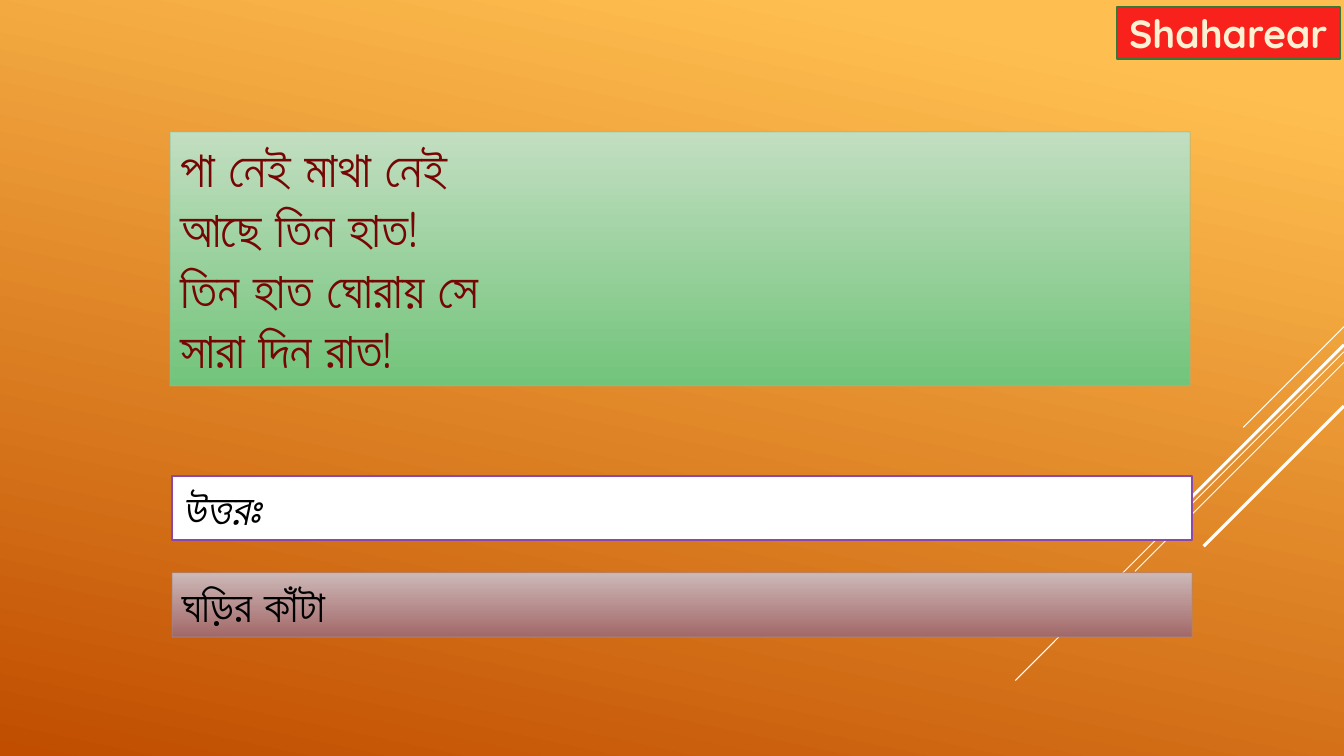
"""Build a riddle slide with its answer on an orange background."""
import pptx
import pptx.util
import pptx.dml.color
import pptx.enum.shapes
import pptx.enum.text
import pptx.oxml

Pt = pptx.util.Pt
FONT = "Quicksand"
HUES = {
    "sun": "FFBF50", "rust": "C04D00", "white": "FFFFFF", "black": "000000",
    "red": "F9211B", "pine": "377738", "cream": "FCF2D3", "plum": "8B48A8",
    "rose": "CDB8B8", "wine": "A36868", "mauve": "A58989",
    "mint": "C2DEC1", "leaf": "72C47B", "sage": "94BD94", "blood": "760603",
}
RIDDLE = ["পা নেই মাথা নেই", "আছে তিন হাত!", "তিন হাত ঘোরায় সে", "সারা দিন রাত!"]
EDGE = 960
RAYS = [(233.3, 72, 0.75), (251.3, 234.7, 0.75), (258.8, 149.3, 0.75),
        (246.3, 137.5, 2.25), (290, 100.2, 2.25)]
BOXES = [
    dict(text="Shaharear", at=(797.8, 5, 159.1, 37.4), fill=["red"],
         line="pine", width=1.25, size=28, ink="cream", bold=True, mid=True),
    dict(text="উত্তরঃ", at=(122.9, 340, 728.6, 46), fill=["white"],
         line="plum", width=1.25, size=32, ink="black", italic=True),
    dict(text="ঘড়ির কাঁটা", at=(122.9, 409, 728.6, 46), fill=["rose", "wine"],
         line="mauve", width=0.75, size=32, ink="black", fade=True),
    dict(text="\v".join(RIDDLE), at=(121.5, 94.2, 728.6, 181.4),
         fill=["mint", "leaf"], line="sage", width=0.75, size=36,
         ink="blood", fade=True),
]


def hue(name):
    return pptx.dml.color.RGBColor.from_string(HUES[name])


def blend(fill, names, angle, start=0):
    fill.gradient()
    fill.gradient_angle = 360 - angle
    for stop, name, place in zip(fill.gradient_stops, names, (start, 1)):
        stop.color.rgb = hue(name)
        stop.position = place


def add(parent, tag, **attrs):
    node = pptx.oxml.parse_xml(
        f'<a:{tag} xmlns:a="http://schemas.openxmlformats.org/drawingml/2006/main"/>')
    for key, value in attrs.items():
        node.set(key, value)
    parent.append(node)


def draw_ray(slide, top, run, width):
    ray = slide.shapes.add_connector(
        pptx.enum.shapes.MSO_CONNECTOR.STRAIGHT,
        Pt(EDGE), Pt(top), Pt(EDGE - run), Pt(top + run))
    ray.line.color.rgb = hue("white")
    ray.line.width = Pt(width)
    add(ray._element.spPr, "effectLst")


def draw_box(slide, box):
    shape = slide.shapes.add_shape(
        pptx.enum.shapes.MSO_SHAPE.RECTANGLE, *map(Pt, box["at"]))
    shape.shadow.inherit = False
    if len(box["fill"]) > 1:
        blend(shape.fill, box["fill"], 90)
    else:
        shape.fill.solid()
        shape.fill.fore_color.rgb = hue(box["fill"][0])
    shape.line.color.rgb = hue(box["line"])
    shape.line.width = Pt(box["width"])
    if box.get("fade"):
        paint = shape.line._ln.solidFill
        add(paint[0], "alpha", val="60000")

    mid = box.get("mid", False)
    frame = shape.text_frame
    frame.text = box["text"]
    frame.word_wrap = True
    anchor, align = pptx.enum.text.MSO_ANCHOR, pptx.enum.text.PP_ALIGN
    frame.vertical_anchor = anchor.MIDDLE if mid else anchor.TOP
    para = frame.paragraphs[0]
    para.alignment = align.CENTER if mid else align.LEFT
    for run in para.runs:
        font = run.font
        font.name, font.size = FONT, Pt(box["size"])
        font.bold, font.italic = box.get("bold"), box.get("italic")
        font.color.rgb = hue(box["ink"])
        add(run._r.rPr, "cs", typeface=FONT)


deck = pptx.Presentation()
deck.slide_width, deck.slide_height = Pt(EDGE), Pt(540)
slide = deck.slides.add_slide(deck.slide_layouts[6])
blend(slide.background.fill, ["sun", "rust"], 102, 0.1)
for ray in RAYS:
    draw_ray(slide, *ray)
for box in BOXES:
    draw_box(slide, box)
deck.save("out.pptx")
